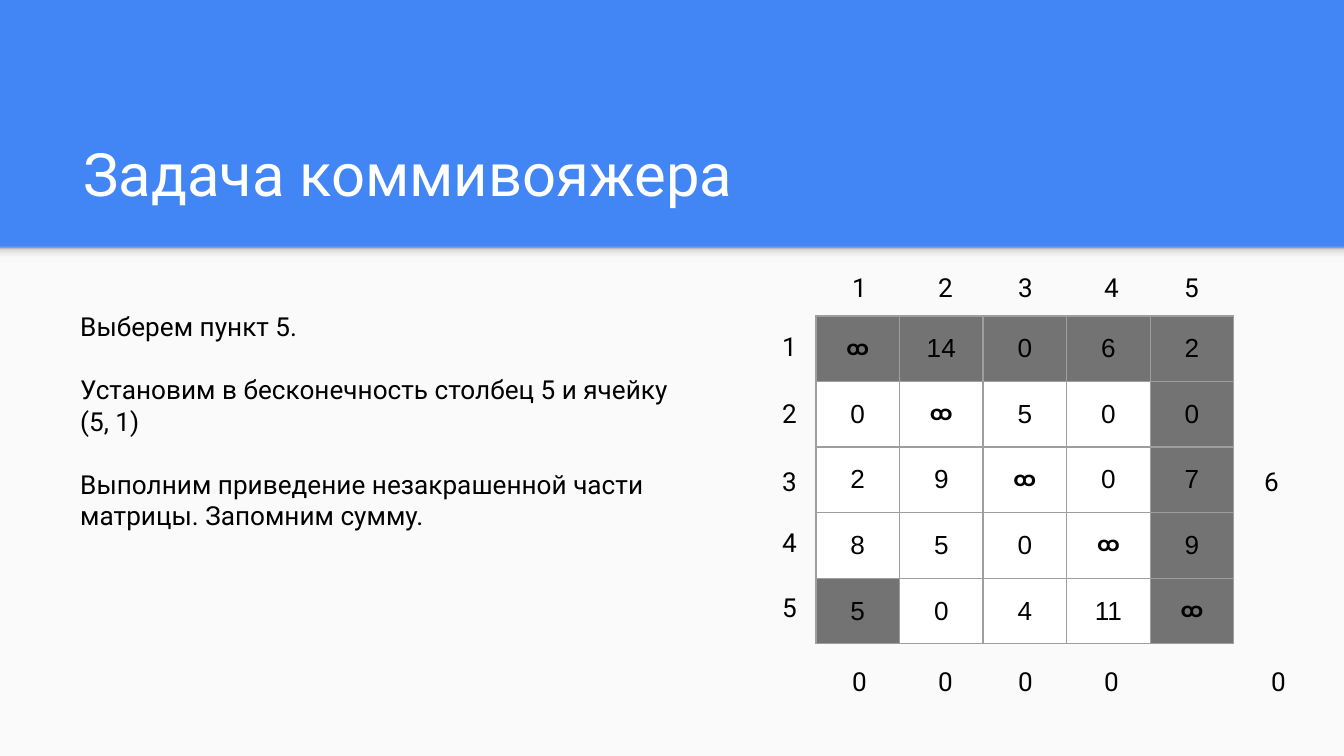
from pptx import Presentation
from pptx.dml.color import RGBColor
from pptx.enum.shapes import MSO_SHAPE as SHAPE
from pptx.enum.text import MSO_ANCHOR as ANCHOR, PP_ALIGN as ALIGN
from pptx.oxml import parse_xml
from pptx.oxml.ns import nsdecls
from pptx.util import Emu, Pt

SCALE = 914400 / 134.4
BLUE = RGBColor(0x42, 0x85, 0xF4)
PANEL = RGBColor(0xFA, 0xFA, 0xFA)
WHITE = RGBColor(0xFF, 0xFF, 0xFF)
BLACK = RGBColor(0, 0, 0)
GREY = RGBColor(0x73, 0x73, 0x73)
BORDER = RGBColor(0x9E, 0x9E, 0x9E)
SHADE_LIGHT = RGBColor(0xF9, 0xF9, 0xF9)
SHADE_MID = RGBColor(0xDE, 0xDE, 0xDE)
SHADE_DARK = RGBColor(0x99, 0x99, 0x99)

INF = "\u1011"
MATRIX = [
    [INF, "14", "0", "6", "2"],
    ["0", INF, "5", "0", "0"],
    ["2", "9", INF, "0", "7"],
    ["8", "5", "0", INF, "9"],
    ["5", "0", "4", "11", INF],
]
COL_X = [839, 925, 1005, 1091, 1171]
ROW_Y = [317, 384, 452, 513, 578]
BODY = [
    "Выберем пункт 5.",
    "Установим в бесконечность столбец 5 и ячейку (5, 1)",
    "Выполним приведение незакрашенной части матрицы. Запомним сумму.",
]


def px(n):
    return Emu(round(n * SCALE))


def box(*lengths):
    return [px(n) for n in lengths]


def set_attrs(obj, values):
    for name, value in values.items():
        setattr(obj, name, value)


def set_margins(obj):
    sides = ("left", "right", "top", "bottom")
    set_attrs(obj, {f"margin_{side}": px(13.44) for side in sides})


def add_run(p, text, size, font="Roboto", color=BLACK, bold=False):
    r = p.add_run()
    r.text = text
    set_attrs(r.font, {"name": font, "size": Pt(size), "bold": bold})
    r.font.color.rgb = color


def add_rect(s, at, color):
    sp = s.shapes.add_shape(SHAPE.RECTANGLE, *box(*at))
    sp.shadow.inherit = False
    sp.fill.solid()
    sp.fill.fore_color.rgb = color
    sp.line.fill.background()
    return sp


def add_shade(s, at, stops):
    sp = add_rect(s, at, SHADE_LIGHT)
    sp.fill.gradient()
    sp.fill.gradient_angle = 90
    gs_lst = sp.fill.gradient_stops[0]._gs.getparent()
    for gs in list(gs_lst):
        gs_lst.remove(gs)
    for percent, color in stops:
        gs_lst.append(parse_xml(
            f'<a:gs {nsdecls("a")} pos="{percent * 1000}">'
            f'<a:srgbClr val="{color}"/></a:gs>'))


def add_text(s, at, texts, size=14, color=BLACK, anchor=ANCHOR.TOP, gap=0):
    tf = s.shapes.add_textbox(*box(*at)).text_frame
    set_attrs(tf, {"word_wrap": True, "vertical_anchor": anchor})
    set_margins(tf)
    for i, text in enumerate(texts):
        p = tf.add_paragraph() if i else tf.paragraphs[0]
        if i:
            p.space_before = Pt(gap)
        add_run(p, text, size, color=color)


def add_label(s, x, y, text):
    add_text(s, (x, y, 42, 59), [text])


def set_borders(cell):
    tc_pr = cell._tc.get_or_add_tcPr()
    for i, side in enumerate(("lnL", "lnR", "lnT", "lnB")):
        tc_pr.insert(i, parse_xml(
            f'<a:{side} {nsdecls("a")} w="{Pt(0.75)}"><a:solidFill>'
            f'<a:srgbClr val="{BORDER}"/></a:solidFill></a:{side}>'))


def add_matrix(s, at, rows):
    n = len(rows)
    table = s.shapes.add_table(n, n, *box(*at)).table
    set_attrs(table, {"first_row": False, "horz_banding": False})
    for i, row in enumerate(rows):
        table.rows[i].height = px(at[3] / n)
        table.columns[i].width = px(at[2] / n)
        for j, text in enumerate(row):
            cell = table.cell(i, j)
            cell.vertical_anchor = ANCHOR.MIDDLE
            set_margins(cell)
            # Row 1, column 5 and cell (5, 1) are struck out
            struck = i == 0 or j == n - 1 or (i, j) == (n - 1, 0)
            cell.fill.solid()
            cell.fill.fore_color.rgb = GREY if struck else WHITE
            set_borders(cell)
            p = cell.text_frame.paragraphs[0]
            p.alignment = ALIGN.CENTER
            is_inf = text == INF
            add_run(p, text, 11 if is_inf else 14, "Arial", bold=is_inf)


def main():
    prs = Presentation()
    set_attrs(prs, {"slide_width": px(1344), "slide_height": px(756)})
    s = prs.slides.add_slide(prs.slide_layouts[6])

    # Blue header above a light panel
    s.background.fill.solid()
    s.background.fill.fore_color.rgb = BLUE
    add_rect(s, (0, 247, 1344, 509), PANEL)
    add_shade(s, (0, 247, 1344, 16), [
        (0, SHADE_LIGHT), (36, SHADE_LIGHT), (80, SHADE_MID), (100, SHADE_DARK)])
    add_text(s, (70, 109, 1208, 113), ["Задача коммивояжера"],
             size=32, color=WHITE, anchor=ANCHOR.BOTTOM)

    # Matrix with row and column numbers
    add_matrix(s, (816, 316, 418, 328), MATRIX)
    for i, (x, y) in enumerate(zip(COL_X, ROW_Y), 1):
        add_label(s, 769, y, str(i))
        add_label(s, x, 258, str(i))

    # Explanation
    add_text(s, (67, 297, 637, 419), BODY, gap=17)

    # Reduction constants
    add_label(s, 1251, ROW_Y[2], "6")
    for x in COL_X[:4] + [1258]:
        add_label(s, x, 652, "0")

    prs.save("out.pptx")


main()
